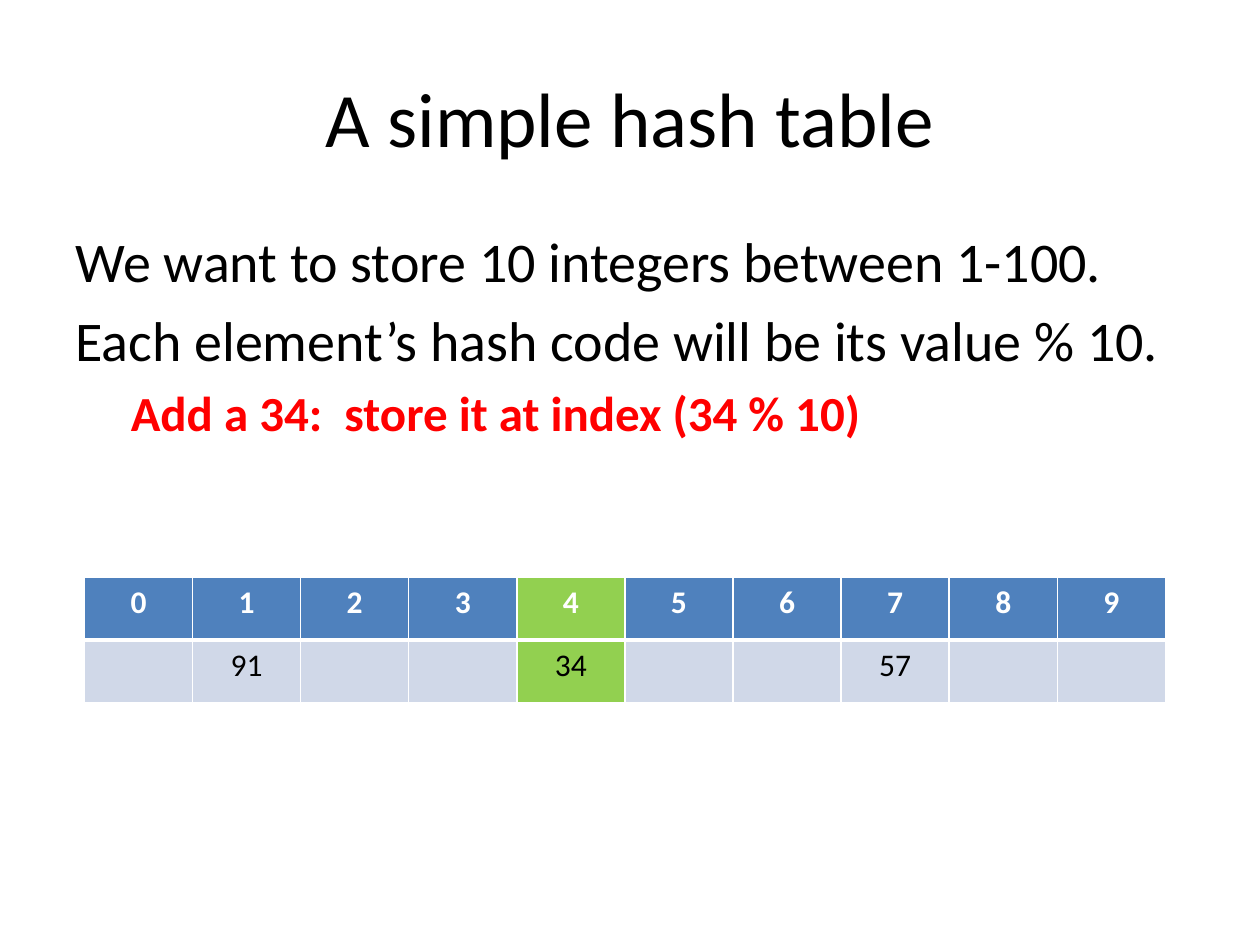
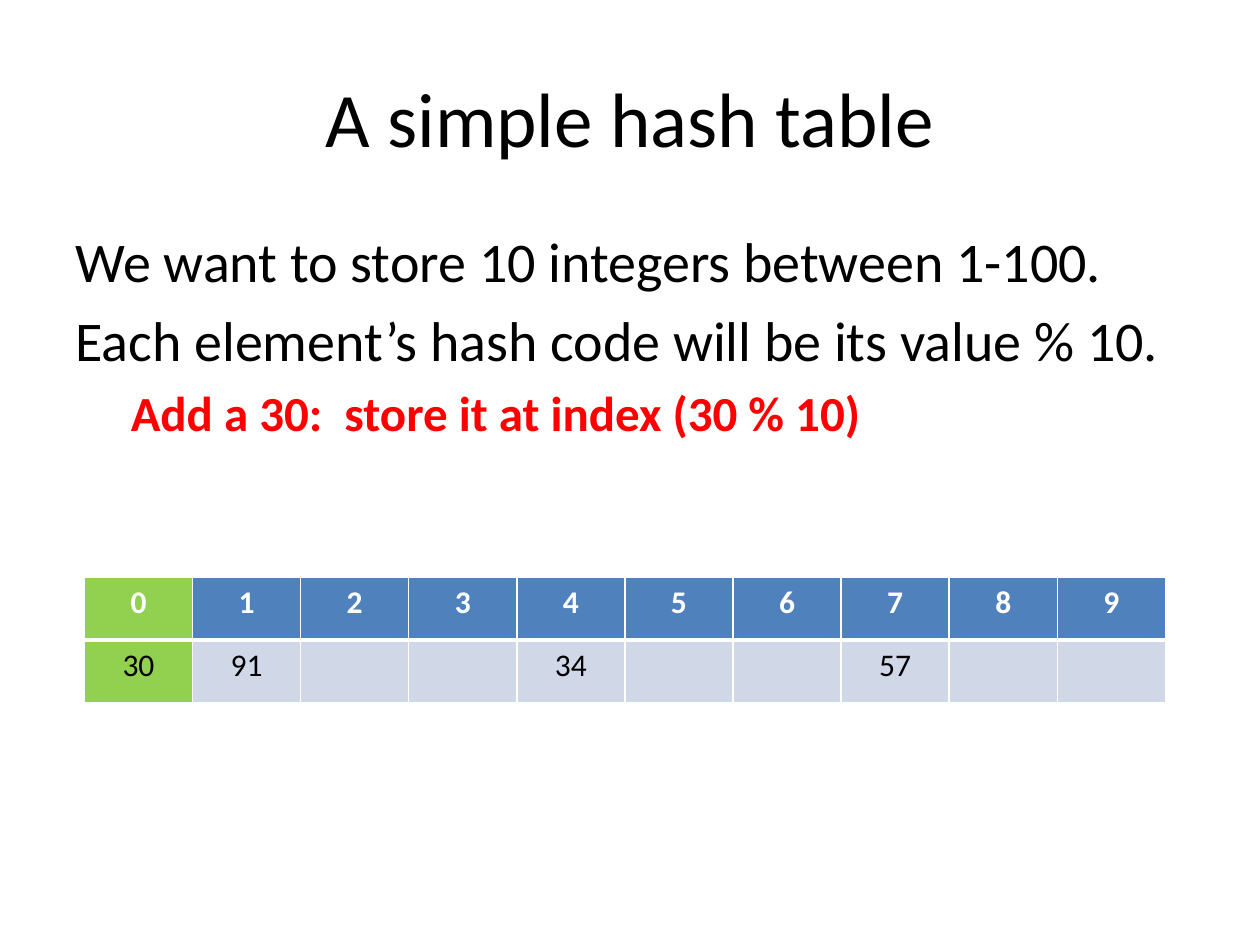
from lxml.etree import SubElement
from pptx import Presentation
from pptx.dml.color import RGBColor
from pptx.enum.text import MSO_ANCHOR, PP_ALIGN
from pptx.oxml.ns import qn
from pptx.util import Inches, Pt

FONT = "Calibri"
BLACK = RGBColor(0x00, 0x00, 0x00)
WHITE = RGBColor(0xFF, 0xFF, 0xFF)
RED = RGBColor(0xFF, 0x00, 0x00)
HEADER_BLUE = RGBColor(0x4F, 0x81, 0xBD)
CELL_BLUE = RGBColor(0xD0, 0xD8, 0xE8)
GREEN = RGBColor(0x92, 0xD0, 0x50)

BUCKETS = 10


def add_run(p, text, size, color, bold=False):
    r = p.add_run()
    r.text = text
    r.font.name = FONT
    r.font.size = Pt(size)
    r.font.color.rgb = color
    r.font.bold = bold


def set_borders(cell, **widths):
    """Draw white cell borders; widths are points keyed by side: L, R, T, B."""
    tcPr = cell._tc.get_or_add_tcPr()
    for side, width in widths.items():
        ln = SubElement(tcPr, qn(f"a:ln{side}"), w=str(Pt(width)))
        fill = SubElement(ln, qn("a:solidFill"))
        SubElement(fill, qn("a:srgbClr"), val=str(WHITE))


prs = Presentation()
prs.slide_width, prs.slide_height = Inches(10), Inches(7.5)
title_only = prs.slide_layouts[5]

stored = {91 % BUCKETS: 91, 57 % BUCKETS: 57}
for added in (34, 30):
    index = added % BUCKETS
    stored[index] = added
    s = prs.slides.add_slide(title_only)

    title = s.shapes.title
    title.left, title.top = Inches(0.5), Inches(0.3)
    title.width, title.height = Inches(9), Inches(1.25)
    title.text_frame.vertical_anchor = MSO_ANCHOR.MIDDLE
    p = title.text_frame.paragraphs[0]
    p.alignment = PP_ALIGN.CENTER
    add_run(p, "A simple hash table", 44, BLACK)

    body = s.shapes.add_textbox(Inches(0.5), Inches(1.75), Inches(9), Inches(4.95))
    tf = body.text_frame
    tf.word_wrap = True
    lines = [
        ("We want to store 10 integers between 1-100.", 32, BLACK, False),
        ("Each element’s hash code will be its value % 10.", 32, BLACK, False),
        (f"Add a {added}:  store it at index ({added} % 10)", 28, RED, True),
    ]
    for i, (text, size, color, is_step) in enumerate(lines):
        p = tf.add_paragraph() if i else tf.paragraphs[0]
        p.space_before = Pt(0.2 * size)
        if is_step:
            p.level = 1
            p._p.get_or_add_pPr().set("marL", str(Inches(0.44)))
        add_run(p, text, size, color, is_step)

    table = s.shapes.add_table(2, BUCKETS, Inches(0.67), Inches(4.58),
                               Inches(8.58), Inches(1)).table
    for col in range(BUCKETS):
        header, value = table.cell(0, col), table.cell(1, col)
        set_borders(header, L=1, R=1, T=1, B=3)
        set_borders(value, L=1, R=1, T=3, B=1)
        for cell, fill in ((header, HEADER_BLUE), (value, CELL_BLUE)):
            cell.fill.solid()
            cell.fill.fore_color.rgb = GREEN if col == index else fill
            cell.text_frame.paragraphs[0].alignment = PP_ALIGN.CENTER
        add_run(header.text_frame.paragraphs[0], str(col), 18, WHITE, True)
        if col in stored:
            add_run(value.text_frame.paragraphs[0], str(stored[col]), 18, BLACK)

prs.save("out.pptx")
